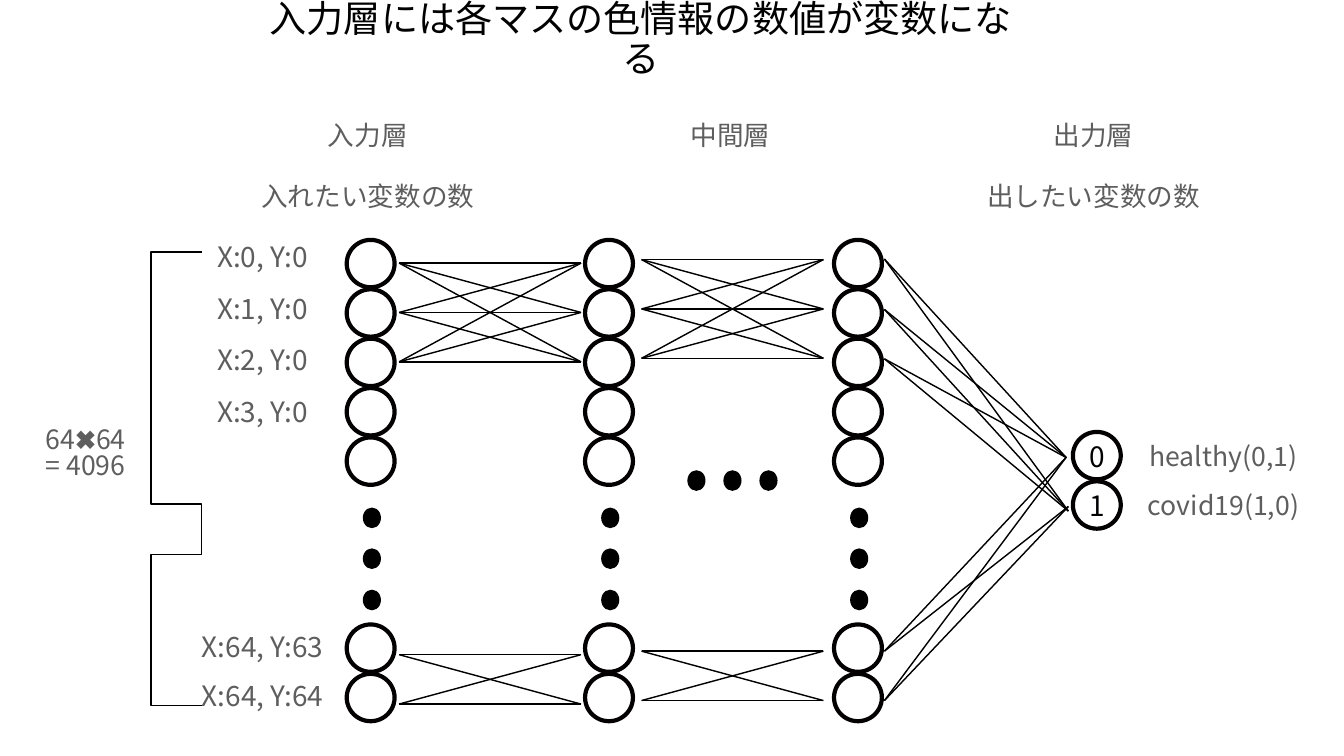
import itertools
from dataclasses import dataclass
from typing import Any

import lxml.etree
import pptx
import pptx.dml.color
import pptx.enum.shapes
import pptx.enum.text
import pptx.oxml.ns
import pptx.util
from pptx.util import Inches

BLACK = "000000"
GRAY = "5E5E5E"
ROW_STEP = 0.98
TOP_ROWS = [4.76 + ROW_STEP * row for row in range(5)]
BOTTOM_ROWS = [12.39, 13.37]
LAYER_LEFTS = [6.88, 11.61, 16.55]
BRACE_START = (3.69, 14.26)
BRACE_CURVES = [
    [(3.63, 14.21), (3.58, 14.16), (3.54, 14.09)],
    [(3.34, 13.78), (3.31, 13.35), (3.32, 12.91)],
    [(3.36, 11.72), (3.81, 10.45), (3.29, 9.62)],
    [(3.23, 9.53), (3.16, 9.46), (3.09, 9.4)],
    [(3.17, 9.32), (3.25, 9.22), (3.31, 9.09)],
    [(3.84, 7.92), (3.01, 6.19), (3.58, 5.05)],
    [(3.63, 4.94), (3.7, 4.85), (3.77, 4.78)],
]


def color(value):
    return pptx.dml.color.RGBColor.from_string(value)


def write_text(shape, text, size=38, fill=GRAY, font="Noto Sans CJK JP", spacing=None, wrap=False):
    frame = shape.text_frame
    frame.auto_size = pptx.enum.text.MSO_AUTO_SIZE.NONE
    frame.word_wrap = wrap
    frame.vertical_anchor = pptx.enum.text.MSO_ANCHOR.MIDDLE
    frame.margin_left = frame.margin_right = Inches(0.06)
    frame.margin_top = frame.margin_bottom = Inches(0.06)
    frame.text = text
    for paragraph in frame.paragraphs:
        paragraph.alignment = pptx.enum.text.PP_ALIGN.CENTER
        paragraph.line_spacing = spacing
        for run in paragraph.runs:
            run.font.size = pptx.util.Pt(size)
            run.font.name = font
            run.font.color.rgb = color(fill)
            east_asian = lxml.etree.SubElement(run.font._element, pptx.oxml.ns.qn("a:ea"))
            east_asian.set("typeface", font)


def curve_points(start, curves, steps=12):
    points = []
    for first, second, end in curves:
        for step in range(1, steps + 1):
            t = step / steps
            u = 1 - t
            points.append(tuple(
                u**3 * a + 3 * u * u * t * b + 3 * u * t * t * c + t**3 * d
                for a, b, c, d in zip(start, first, second, end)
            ))
        start = end
    return points


@dataclass
class NetworkSlide:
    """Holds the line style and the slide, and adds each kind of element."""

    slide: Any
    ring_width: float = 6
    link_width: float = 2

    def title(self, text, left, top, width, height):
        shape = self.slide.shapes.title
        shape.left, shape.top = Inches(left), Inches(top)
        shape.width, shape.height = Inches(width), Inches(height)
        write_text(shape, text, size=53, fill=BLACK, font="Lato", spacing=0.9, wrap=True)

    def label(self, text, center, top, width, height=0.67, **style):
        shape = self.slide.shapes.add_textbox(
            Inches(center - width / 2), Inches(top), Inches(width), Inches(height))
        write_text(shape, text, **style)

    def oval(self, left, top, width, height):
        shape = self.slide.shapes.add_shape(
            pptx.enum.shapes.MSO_SHAPE.OVAL,
            Inches(left), Inches(top), Inches(width), Inches(height))
        shape.shadow.inherit = False
        return shape

    def neuron(self, left, top):
        shape = self.oval(left, top, 0.95, 0.94)
        shape.fill.background()
        shape.line.color.rgb = color("020000")
        shape.line.width = pptx.util.Pt(self.ring_width)

    def dot(self, left, top):
        shape = self.oval(left, top, 0.36, 0.41)
        shape.fill.solid()
        shape.fill.fore_color.rgb = color(BLACK)
        shape.line.fill.background()

    def link(self, start, end):
        connector = self.slide.shapes.add_connector(
            pptx.enum.shapes.MSO_CONNECTOR.STRAIGHT, *map(Inches, start + end))
        connector.line.color.rgb = color(BLACK)
        connector.line.width = pptx.util.Pt(self.link_width)
        lxml.etree.SubElement(connector._element.spPr, pptx.oxml.ns.qn("a:effectLst"))

    def link_all(self, starts, ends):
        for start, end in itertools.product(starts, ends):
            self.link(start, end)

    def brace(self, start, curves):
        builder = self.slide.shapes.build_freeform(*start, scale=Inches(1))
        builder.add_line_segments(curve_points(start, curves), close=False)
        shape = builder.convert_to_shape()
        shape.shadow.inherit = False
        shape.fill.background()
        shape.line.color.rgb = color(BLACK)
        shape.line.width = pptx.util.Pt(self.link_width)


def main():
    presentation = pptx.Presentation()
    presentation.slide_width = Inches(26.67)
    presentation.slide_height = Inches(15)
    network = NetworkSlide(presentation.slides.add_slide(presentation.slide_layouts[5]))

    network.title("入力層には各マスの色情報の数値が変数になる", 5.12, 0.2, 15.2, 1.2)

    for left in LAYER_LEFTS:
        for top in TOP_ROWS + BOTTOM_ROWS:
            network.neuron(left, top)
        for top in (10.07, 10.88, 11.7):
            network.dot(left + 0.32, top)
    for column in range(3):
        network.dot(13.64 + 0.715 * column, 9.33)

    for left, right, first, last in ((7.92, 11.53, 5.22, 12.99), (12.73, 16.34, 5.15, 12.92)):
        for start, count in ((first, 3), (last, 2)):
            heights = [start + ROW_STEP * row for row in range(count)]
            network.link_all([(left, y) for y in heights], [(right, y) for y in heights])
    network.link_all([(17.55, y) for y in (5.14, 6.14, 7.12)], [(21.16, 9.08), (21.2, 10.14)])
    network.link_all([(17.55, y) for y in (12.92, 13.9)], [(21.16, 9.07), (21.2, 10.05)])

    outputs = (("0", "healthy(0,1)", 8.57), ("1", "covid19(1,0)", 9.55))
    for digit, meaning, top in outputs:
        network.neuron(21.29, top)
        network.label(digit, 21.78, top + 0.15, 0.49, size=40, fill="000003")
        network.label(meaning, 24.28, top + 0.15, 3.4, 0.64)

    for text, center in (("入力層", 7.3), ("中間層", 14.5), ("出力層", 21.7)):
        network.label(text, center, 2.36, 1.71, 0.64)
    for text, center in (("入れたい変数の数", 7.3), ("出したい変数の数", 21.7)):
        network.label(text, center, 3.56, 4.35, 0.64)

    for row in range(4):
        network.label(f"X:{row}, Y:0", 5.21, 4.76 + 1.02 * row, 2.19, size=40)
    for text, top in (("X:64, Y:63", 12.48), ("X:64, Y:64", 13.47)):
        network.label(text, 5.21, top, 2.92, size=40)

    network.brace(BRACE_START, BRACE_CURVES)
    network.label("64✖️64\n= 4096", 1.7, 8.22, 2.04, 1.6, spacing=0.83)

    presentation.save("out.pptx")


if __name__ == "__main__":
    main()
